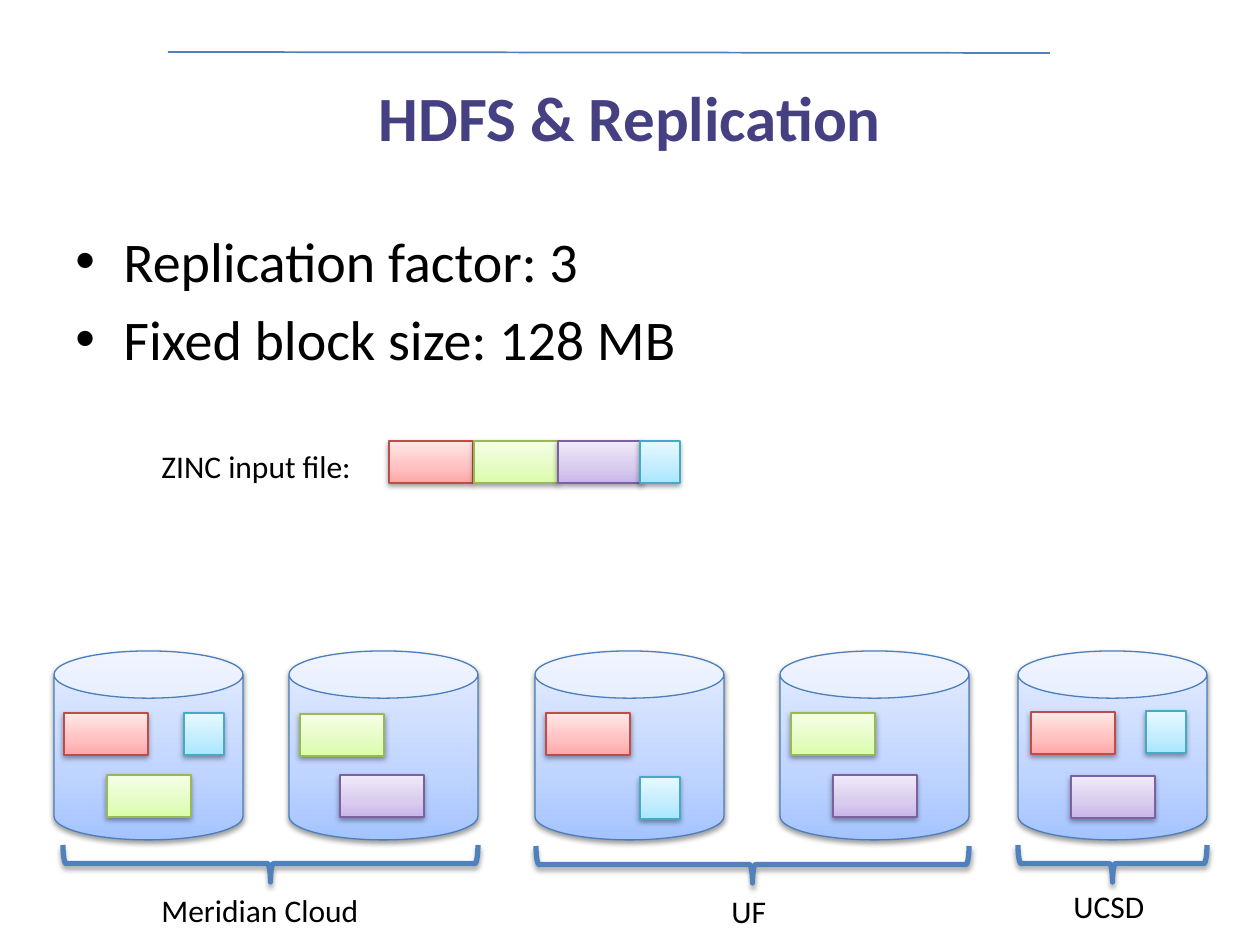
"""Build the slide on HDFS blocks and how they are replicated across sites."""
from dataclasses import dataclass

from lxml import etree
from pptx import Presentation
from pptx.dml.color import RGBColor
from pptx.enum.shapes import MSO_CONNECTOR, MSO_SHAPE
from pptx.enum.text import MSO_ANCHOR, PP_ALIGN
from pptx.oxml.ns import qn
from pptx.util import Emu, Pt

CAN, RECT, BRACE = MSO_SHAPE.CAN, MSO_SHAPE.RECTANGLE, MSO_SHAPE.LEFT_BRACE
STRAIGHT = MSO_CONNECTOR.STRAIGHT
MIDDLE, CENTER = MSO_ANCHOR.MIDDLE, PP_ALIGN.CENTER

PX_PER_INCH = 126
SLIDE_W, SLIDE_H = 1260, 945
CAN_TOP, CAN_SIZE = 651, 189
BLOCK_H, BRACE_H, LABEL_H = 42, 37, 50
INDENT = 48


@dataclass(frozen=True)
class Theme:
    """Colours, font and type sizes of the slide."""
    font: str = "Calibri"
    title: str = "454082"
    text: str = "000000"
    accent: str = "4F81BD"
    title_pt: int = 36
    body_pt: int = 32
    label_pt: int = 18


@dataclass(frozen=True)
class Shade:
    """Outline and bottom-to-top gradient of a filled shape."""
    line: str
    stops: tuple


THEME = Theme()
DISK = Shade("4B7EBC", ("A4C4FF", "BFD4FF", "E6EEFF"))
STOP_POSITIONS = (0, 35, 100)
BLOCKS = {
    "red": (84, Shade("BF4C48", ("FFA6A5", "FFC0BF", "FFE7E7"))),
    "green": (84, Shade("98B955", ("DAFDA7", "E4FCC2", "F5FFE7"))),
    "purple": (84, Shade("7D60A0", ("C9B5E8", "D8CBEE", "F0EAF9"))),
    "cyan": (40, Shade("46AAC5", ("A7E6FF", "C1EDFF", "E7F8FF"))),
}
BULLETS = ("Replication factor: 3", "Fixed block size: 128 MB")
INPUT_FILE = (("red", 389, 441), ("green", 474, 441),
              ("purple", 558, 441), ("cyan", 640, 441))
SERVERS = (
    (54, (("red", 64, 713), ("cyan", 184, 713), ("green", 107, 775))),
    (289, (("green", 300, 714), ("purple", 340, 775))),
    (535, (("red", 546, 713), ("cyan", 640, 777))),
    (780, (("green", 791, 713), ("purple", 833, 775))),
    (1018, (("red", 1031, 712), ("cyan", 1146, 711), ("purple", 1071, 776))),
)
SITES = (
    ((63, 845, 415), ("Meridian Cloud", 149, 885, 232)),
    ((536, 846, 433), ("UF", 719, 886, 60)),
    ((1018, 845, 189), ("UCSD", 1061, 881, 97)),
)


def px(n):
    """Turn pixels into EMU."""
    return Emu(round(n * 914400 / PX_PER_INCH))


def style_font(p, size, color, bold=False):
    """Format every run of a paragraph."""
    for r in p.runs:
        r.font.name, r.font.size, r.font.bold = THEME.font, Pt(size), bold
        r.font.color.rgb = RGBColor.from_string(color)


def add_color(parent, color, alpha=None):
    """Append an RGB colour, optionally see-through, to an XML element."""
    clr = etree.SubElement(parent, qn("a:srgbClr"), val=color)
    if alpha is not None:
        etree.SubElement(clr, qn("a:alpha"), val=str(alpha * 1000))


def set_line(sp, color, width):
    """Give a shape or connector a solid line."""
    sp.line.color.rgb = RGBColor.from_string(color)
    sp.line.width = Pt(width)


def set_shadow(sp, distance, alpha):
    """Cast a soft black shadow straight down."""
    sp.shadow.inherit = False
    effects = sp._element.spPr.find(qn("a:effectLst"))
    shadow = etree.SubElement(effects, qn("a:outerShdw"), blurRad=str(Pt(3.1)),
                              dist=str(Pt(distance)), dir="5400000", rotWithShape="0")
    add_color(shadow, "000000", alpha)


def set_gradient(sp, colors):
    """Fill a shape with a three-stop vertical gradient."""
    sp.fill.gradient()
    sp.fill.gradient_angle = 90
    stops = sp._element.spPr.find(".//" + qn("a:gsLst"))
    for old in list(stops):
        stops.remove(old)
    for position, color in zip(STOP_POSITIONS, colors):
        stop = etree.SubElement(stops, qn("a:gs"), pos=str(position * 1000))
        add_color(stop, color)


def add_shaded(s, kind, x, y, w, h, shade):
    """Add a gradient shape with an outline and a shadow."""
    sp = s.shapes.add_shape(kind, px(x), px(y), px(w), px(h))
    set_gradient(sp, shade.stops)
    set_line(sp, shade.line, 0.75)
    set_shadow(sp, 1.6, 38)


def add_blocks(s, blocks):
    """Add file blocks given as colour name, left and top."""
    for name, x, y in blocks:
        width, shade = BLOCKS[name]
        add_shaded(s, RECT, x, y, width, BLOCK_H, shade)


def add_brace(s, x, y, width):
    """Add a brace that opens upwards over the given width."""
    left, top = x + (width - BRACE_H) / 2, y - (width - BRACE_H) / 2
    sp = s.shapes.add_shape(BRACE, px(left), px(top), px(BRACE_H), px(width))
    sp.rotation = 270
    sp.fill.background()
    set_line(sp, THEME.accent, 3)
    set_shadow(sp, 1.8, 35)


def add_label(s, text, x, y, width):
    """Add a one-line label."""
    tf = s.shapes.add_textbox(px(x), px(y), px(width), px(LABEL_H)).text_frame
    tf.word_wrap = False
    tf.text = text
    style_font(tf.paragraphs[0], THEME.label_pt, THEME.text)


def add_title(s, text):
    """Place and format the title."""
    sp = s.shapes.title
    sp.left, sp.top, sp.width, sp.height = px(63), px(38), px(1134), px(157)
    tf = sp.text_frame
    tf.text = text
    tf.vertical_anchor = MIDDLE
    p = tf.paragraphs[0]
    p.alignment = CENTER
    style_font(p, THEME.title_pt, THEME.title, True)


def add_bullets(s, items):
    """Add the bulleted list."""
    tf = s.shapes.add_textbox(px(63), px(220), px(1134), px(624)).text_frame
    tf.word_wrap = True
    tf.text = "\n".join(items)
    for i, p in enumerate(tf.paragraphs):
        props = p._p.get_or_add_pPr()
        props.set("marL", str(px(INDENT)))
        props.set("indent", str(-px(INDENT)))
        etree.SubElement(props, qn("a:buFont"), typeface="Arial")
        etree.SubElement(props, qn("a:buChar"), char="•")
        p.space_before = Pt(6.4 if i else 0)
        style_font(p, THEME.body_pt, THEME.text)


def add_rule(s):
    """Draw the thin line above the title."""
    sp = s.shapes.add_connector(STRAIGHT, px(168), px(52), px(1050), px(53))
    set_line(sp, THEME.accent, 1)
    etree.SubElement(sp._element.spPr, qn("a:effectLst"))


def main():
    """Build and save the slide."""
    prs = Presentation()
    prs.slide_width, prs.slide_height = px(SLIDE_W), px(SLIDE_H)
    s = prs.slides.add_slide(prs.slide_layouts[5])
    add_rule(s)
    add_title(s, "HDFS & Replication")
    add_bullets(s, BULLETS)
    add_label(s, "ZINC input file:", 149, 441, 218)
    add_blocks(s, INPUT_FILE)
    for x, blocks in SERVERS:
        add_shaded(s, CAN, x, CAN_TOP, CAN_SIZE, CAN_SIZE, DISK)
        add_blocks(s, blocks)
    for brace, label in SITES:
        add_brace(s, *brace)
        add_label(s, *label)
    prs.save("out.pptx")


if __name__ == "__main__":
    main()
